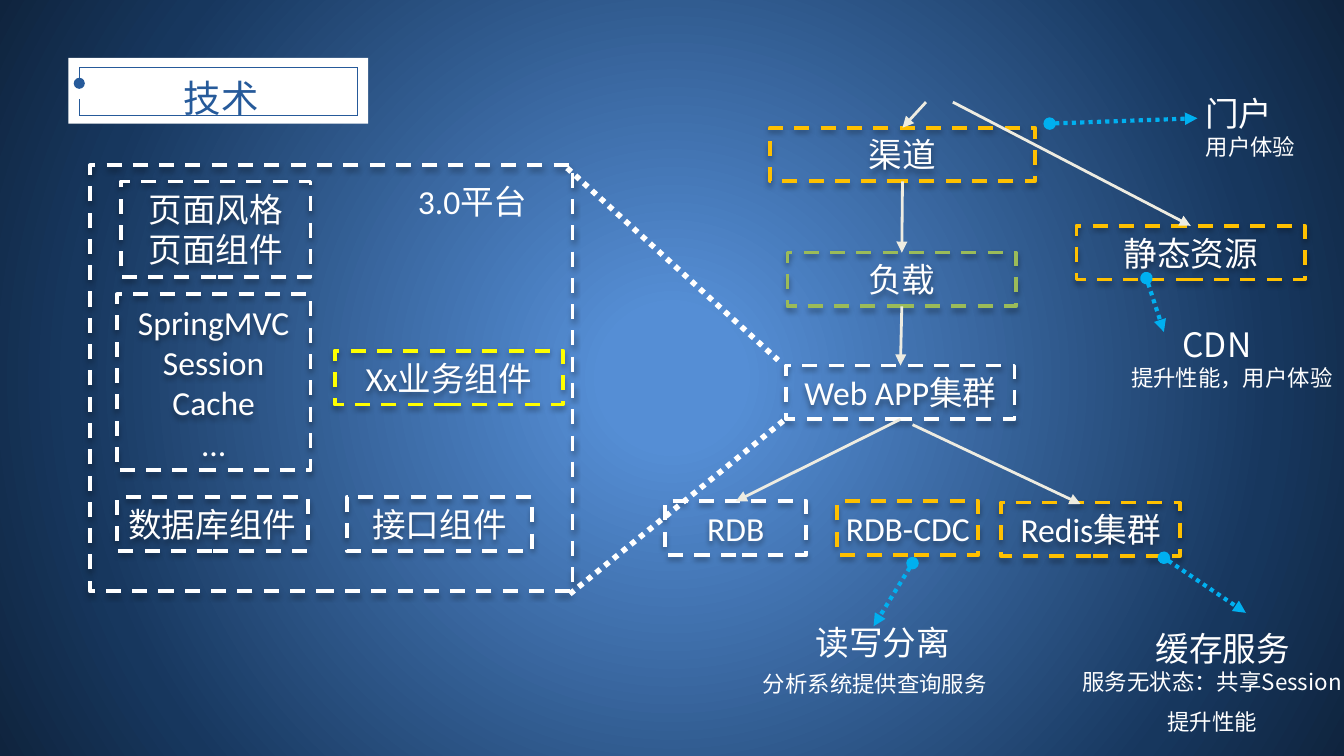
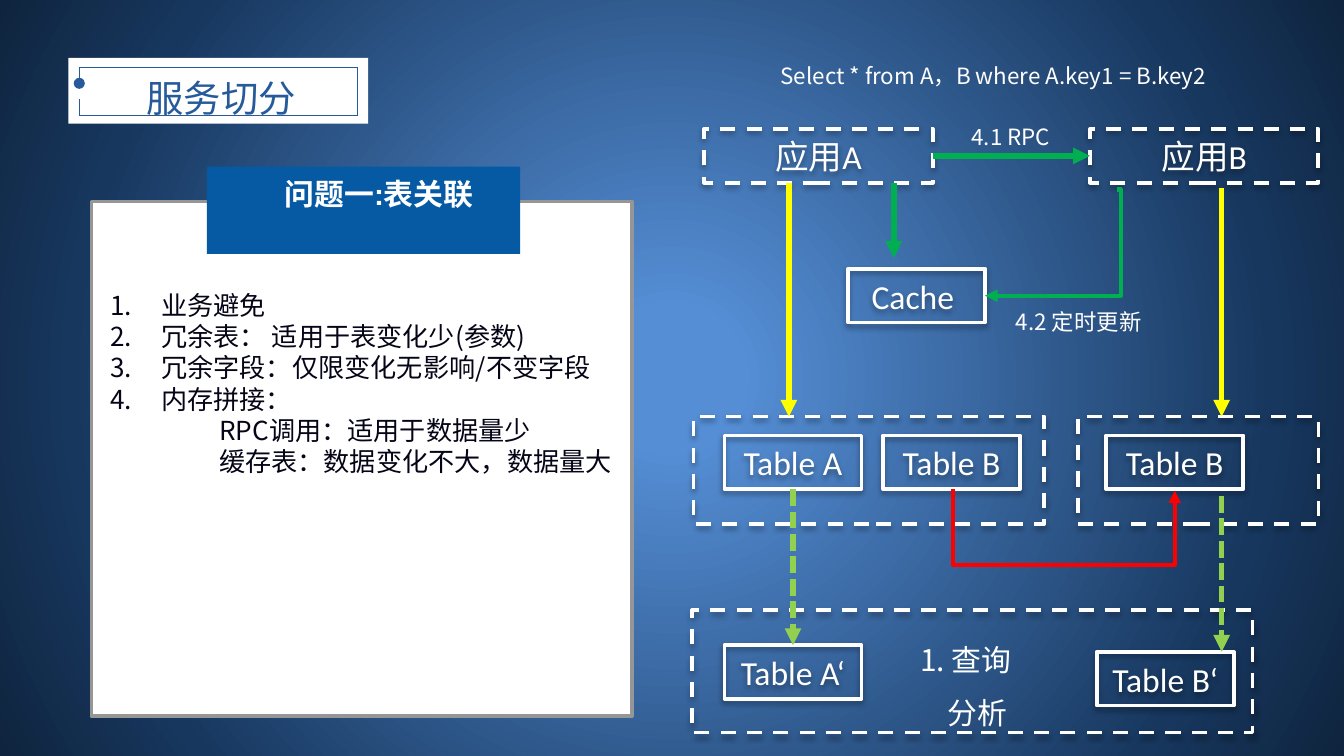
"""Build two architecture slides: the technology stack and the service split."""
from lxml import etree
from pptx import Presentation
from pptx import util as u
from pptx.dml.color import RGBColor
from pptx.enum import dml, shapes, text
from pptx.oxml import ns

PX = 9144


class Theme:
    white, navy, cyan = "FFFFFF", "265A9A", "00B0F0"
    amber, olive, yellow = "FFC000", "9BBB59", "FFFF00"
    green, lime, red = "00B050", "92D050", "FF0000"
    cream, gray, blue, ink = "EEECE1", "969696", "055AA3", "060517"
    backdrop = {9: "558ED5", 78: "17375E", 100: "0F243E"}
    cjk = "Noto Sans CJK SC"
    title = dict(size=u.Pt(20), name=cjk)
    box = dict(size=u.Pt(18), name="Calibri")
    label = dict(size=u.Pt(18), name=cjk)
    query = dict(size=u.Pt(16), name=cjk)
    body = dict(size=u.Pt(14), name=cjk)
    note = dict(size=u.Pt(12), name=cjk)
    heading = dict(size=u.Pt(16), name="Arial", bold=True)


DASH, DOT, SHORT = dml.MSO_LINE.DASH, dml.MSO_LINE.ROUND_DOT, dml.MSO_LINE.SQUARE_DOT
LINES = {
    "frame": (Theme.navy, 0.25, None, None, None),
    "pin": (Theme.navy, 0.25, None, None, "oval"),
    "callout": (Theme.cyan, 2.25, DOT, "oval", "triangle"),
    "zoom": (Theme.white, 3, DOT, None, None),
    "flow": (Theme.cream, 1.5, None, None, "triangle"),
    "data": (Theme.yellow, 3, None, None, "triangle"),
    "call": (Theme.green, 3, None, None, "triangle"),
    "refresh": (Theme.green, 2.25, None, None, "triangle"),
    "sync": (Theme.red, 2.25, None, None, "triangle"),
    "copy": (Theme.lime, 3, SHORT, None, "triangle"),
}
LEFT, CENTER = text.PP_ALIGN.LEFT, text.PP_ALIGN.CENTER
GROW = dict(auto_size=text.MSO_AUTO_SIZE.SHAPE_TO_FIT_TEXT, word_wrap=True)
TOP = dict(GROW, vertical_anchor=text.MSO_ANCHOR.TOP)
SIDES = ("left", "top", "right", "bottom")
FLUSH = dict(TOP, **{f"margin_{side}": 0 for side in SIDES})
BOXED = dict(GROW, vertical_anchor=text.MSO_ANCHOR.MIDDLE,
             **{f"margin_{side}": 5 * PX for side in SIDES})


def write(tf, content, font, color, frame, align=LEFT, spacing=None):
    for key, value in frame.items():
        setattr(tf, key, value)
    for i, line in enumerate(content.split("\n")):
        p = tf.add_paragraph() if i else tf.paragraphs[0]
        p.alignment, p.line_spacing = align, spacing
        r = p.add_run()
        r.text = line
        for key, value in font.items():
            setattr(r.font, key, value)
        r.font.color.rgb = RGBColor.from_string(color)
        etree.SubElement(r._r.get_or_add_rPr(), ns.qn("a:ea"), typeface=Theme.cjk)


def draw_line(s, boxes, begin, end, kind, form=shapes.MSO_CONNECTOR.STRAIGHT):
    color, width, dash, head, tail = LINES[kind]
    points = [(0, 0) if isinstance(at[0], str) else at for at in (begin, end)]
    c = s.shapes.add_connector(form, *(v * PX for at in points for v in at))
    for at, join in ((begin, c.begin_connect), (end, c.end_connect)):
        if isinstance(at[0], str):
            join(boxes[at[0]], at[1])
    c.line.color.rgb = RGBColor.from_string(color)
    c.line.width, c.line.dash_style = u.Pt(width), dash
    ln = c.element.spPr.find(ns.qn("a:ln"))
    for tag, mark in (("a:headEnd", head), ("a:tailEnd", tail)):
        if mark:
            etree.SubElement(ln, ns.qn(tag), type=mark)
    etree.SubElement(c.element.spPr, ns.qn("a:effectLst"))
    return c


BAND = ((51, 43, 223, 49), Theme.white, None)
BAND_LINES = [
    ((59, 50), (266, 50), "frame"),
    ((266, 50), (266, 86), "frame"),
    ((266, 86), (59, 86), "frame"),
    ((59, 50), (59, 62), "pin"),
    ((59, 86), (59, 74), "frame"),
]
TECHNOLOGY = dict(
    title="技术",
    plates=[],
    boxes=[
        ("", (67, 123, 359, 317), Theme.white, DASH),
        ("页面风格\n页面组件", (90, 135, 141, 71), Theme.white, DASH),
        ("静态资源", (801, 168, 170, 40), Theme.amber, DASH),
        ("数据库组件", (87, 370, 142, 40), Theme.white, DASH),
        ("Redis集群", (745, 374, 133, 40), Theme.amber, DASH),
        ("Web APP集群", (585, 272, 170, 40), Theme.white, DASH),
        ("负载", (586, 188, 170, 40), Theme.olive, DASH),
        ("RDB", (495, 373, 105, 40), Theme.white, DASH),
        ("RDB-CDC", (623, 373, 105, 40), Theme.amber, DASH),
        ("接口组件", (258, 370, 138, 40), Theme.white, DASH),
        ("Xx业务组件", (249, 261, 170, 40), Theme.yellow, DASH),
        ("SpringMVC\nSession\nCache\n…", (87, 219, 144, 131), Theme.white, DASH),
        ("渠道", (573, 95, 197, 40), Theme.amber, DASH),
    ],
    texts=[
        ("服务无状态：共享Session\n提升性能", (752, 482, 300, 71), Theme.note, CENTER, 1.5, True),
        ("缓存服务", (850, 447, 121, 50), Theme.label, LEFT, 1.5, False),
        ("分析系统提供查询服务", (501, 484, 300, 37), Theme.note, CENTER, 1.5, True),
        ("读写分离", (597, 443, 121, 50), Theme.label, LEFT, 1.5, False),
        ("提升性能，用户体验", (772, 256, 289, 40), Theme.note, CENTER, 1.5, True),
        ("CDN", (870, 221, 77, 50), Theme.label, LEFT, 1.5, False),
        ("3.0平台", (301, 130, 112, 40), Theme.box, LEFT, None, True),
        ("用户体验", (786, 84, 289, 37), Theme.note, CENTER, 1.5, True),
        ("门户", (887, 49, 71, 50), Theme.label, LEFT, 1.5, False),
    ],
    lines=[
        ((679, 419), (650, 466), "callout"),
        ((866, 415), (927, 456), "callout"),
        ((853, 207), (866, 247), "callout"),
        ((781, 92), (891, 88), "callout"),
        ((422, 125), (579, 268), "zoom"),
        ((424, 442), (583, 313), "zoom"),
        (("渠道", 2), ("负载", 0), "flow"),
        (("负载", 2), ("Web APP集群", 0), "flow"),
        (("Web APP集群", 2), ("RDB", 0), "flow"),
        ((679, 316), (804, 375), "flow"),
        ((689, 76), ("渠道", 0), "flow"),
        ((709, 76), ("静态资源", 0), "flow"),
    ],
)
SPLIT = dict(
    title="服务切分",
    plates=[
        ((68, 150, 402, 383), Theme.white, Theme.gray),
        ((154, 124, 233, 65), Theme.blue, None),
    ],
    boxes=[
        ("应用A", (524, 96, 170, 40), Theme.white, DASH),
        ("应用B", (811, 96, 170, 40), Theme.white, DASH),
        ("", (516, 310, 261, 80), Theme.white, DASH),
        ("", (802, 310, 179, 80), Theme.white, DASH),
        ("", (515, 454, 417, 91), Theme.white, DASH),
        ("Table A", (539, 324, 102, 40), Theme.white, None),
        ("Table B", (657, 324, 102, 40), Theme.white, None),
        ("Table B", (823, 324, 102, 40), Theme.white, None),
        ("Cache ", (631, 200, 102, 40), Theme.white, None),
        ("Table A‘", (539, 480, 102, 40), Theme.white, None),
        ("Table B‘", (816, 485, 102, 40), Theme.white, None),
    ],
    texts=[
        ("Select * from A，B where A.key1 = B.key2", (571, 31, 354, 40), Theme.note, LEFT, 1.5, True),
        ("4.1 RPC", (713, 77, 98, 40), Theme.note, LEFT, 1.5, True),
        ("4.2 定时更新", (746, 214, 119, 40), Theme.note, LEFT, 1.5, True),
        ("问题一:表关联", (202, 126, 166, 37), Theme.heading, LEFT, None, True),
    ],
    lines=[
        ((909, 140), (909, 310), "data"),
        ((587, 136), (587, 310), "data"),
        (("应用A", 3), ("应用B", 1), "call"),
        ((665, 136), (665, 192), "call"),
        (("Table A", 2), ("Table A‘", 0), "copy"),
        ((909, 369), (909, 485), "copy"),
    ],
)
ELBOWS = [
    ((792, 282), (791, 447), "sync", 5750000, 270),
    ((831, 141), (733, 220), "refresh", -2900, 0),
]
REMEDIES = ["业务避免", "冗余表： 适用于表变化少(参数)", "冗余字段：仅限变化无影响/不变字段", "内存拼接："]
STITCHING = ["RPC调用：适用于数据量少", "缓存表：数据变化不大，数据量大"]

prs = Presentation()
prs.slide_width = 1000 * PX
prs.slide_height = prs.slide_width * 9 // 16
prs.slide_master.background.fill.gradient()
grad = next(prs.slide_master.element.iter(ns.qn("a:gradFill")))
for child in list(grad):
    grad.remove(child)
stops = etree.SubElement(grad, ns.qn("a:gsLst"))
for percent, color in Theme.backdrop.items():
    stop = etree.SubElement(stops, ns.qn("a:gs"), pos=str(percent * 1000))
    etree.SubElement(stop, ns.qn("a:srgbClr"), val=color)
circle = etree.SubElement(grad, ns.qn("a:path"), path="circle")
etree.SubElement(circle, ns.qn("a:fillToRect"), l="50000", t="50000", r="50000", b="50000")

for page in (TECHNOLOGY, SPLIT):
    s = prs.slides.add_slide(prs.slide_layouts[5])
    boxes = {}
    for place, fill, outline in [BAND] + page["plates"]:
        sp = s.shapes.add_shape(shapes.MSO_SHAPE.RECTANGLE, *(v * PX for v in place))
        sp.shadow.inherit = False
        sp.fill.solid()
        sp.fill.fore_color.rgb = RGBColor.from_string(fill)
        if outline:
            sp.line.color.rgb = RGBColor.from_string(outline)
            sp.line.width = u.Pt(2)
        else:
            sp.line.fill.background()

    for content, place, color, dash in page["boxes"]:
        sp = s.shapes.add_shape(shapes.MSO_SHAPE.RECTANGLE, *(v * PX for v in place))
        sp.fill.background()
        sp.line.color.rgb = RGBColor.from_string(color)
        sp.line.width, sp.line.dash_style = u.Pt(2), dash
        sp.shadow.inherit = False
        shadow = etree.SubElement(
            sp.element.spPr.find(ns.qn("a:effectLst")), ns.qn("a:outerShdw"),
            blurRad="38100", dist="22860", dir="5400000", rotWithShape="0")
        black = etree.SubElement(shadow, ns.qn("a:srgbClr"), val="000000")
        etree.SubElement(black, ns.qn("a:alpha"), val="35000")
        if content:
            write(sp.text_frame, content, Theme.box, Theme.white, BOXED, CENTER)
            boxes[content] = sp

    for content, place, font, align, spacing, wrap in page["texts"]:
        tf = s.shapes.add_textbox(*(v * PX for v in place)).text_frame
        write(tf, content, font, Theme.white, dict(TOP, word_wrap=wrap), align, spacing)

    for begin, end, kind in BAND_LINES + page["lines"]:
        draw_line(s, boxes, begin, end, kind)

    title = s.shapes.title
    for key, value in dict(left=63, top=34, width=203, height=55).items():
        setattr(title, key, value * PX)
    write(title.text_frame, page["title"], Theme.title, Theme.navy, TOP, CENTER, 1.5)
    s.shapes.element.append(title.element)

for begin, end, kind, bend, turn in ELBOWS:
    c = draw_line(s, {}, begin, end, kind, shapes.MSO_CONNECTOR.ELBOW)
    guides = next(c.element.iter(ns.qn("a:avLst")))
    etree.SubElement(guides, ns.qn("a:gd"), name="adj1", fmla=f"val {bend}")
    if turn:
        c.element.spPr.find(ns.qn("a:xfrm")).set("rot", str(turn * 60000))

tf = s.shapes.add_textbox(675 * PX, 459 * PX, 119 * PX, 91 * PX).text_frame
write(tf, "1. 查询\n分析", Theme.query, Theme.white, TOP, spacing=1.5)
tf.paragraphs[1]._p.get_or_add_pPr().set("marL", str(20 * PX))

tf = s.shapes.add_textbox(82 * PX, 215 * PX, 379 * PX, 142 * PX).text_frame
write(tf, "\n".join(REMEDIES + STITCHING), Theme.body, Theme.ink, FLUSH)
for i, p in enumerate(tf.paragraphs):
    numbered = i < len(REMEDIES)
    p.level = 0 if numbered else 1
    pPr = p._p.get_or_add_pPr()
    pPr.set("marL", str((38 if numbered else 81) * PX))
    pPr.set("indent", str((-38 if numbered else 0) * PX))
    if numbered:
        etree.SubElement(pPr, ns.qn("a:buAutoNum"), type="arabicPeriod")

prs.save("out.pptx")
